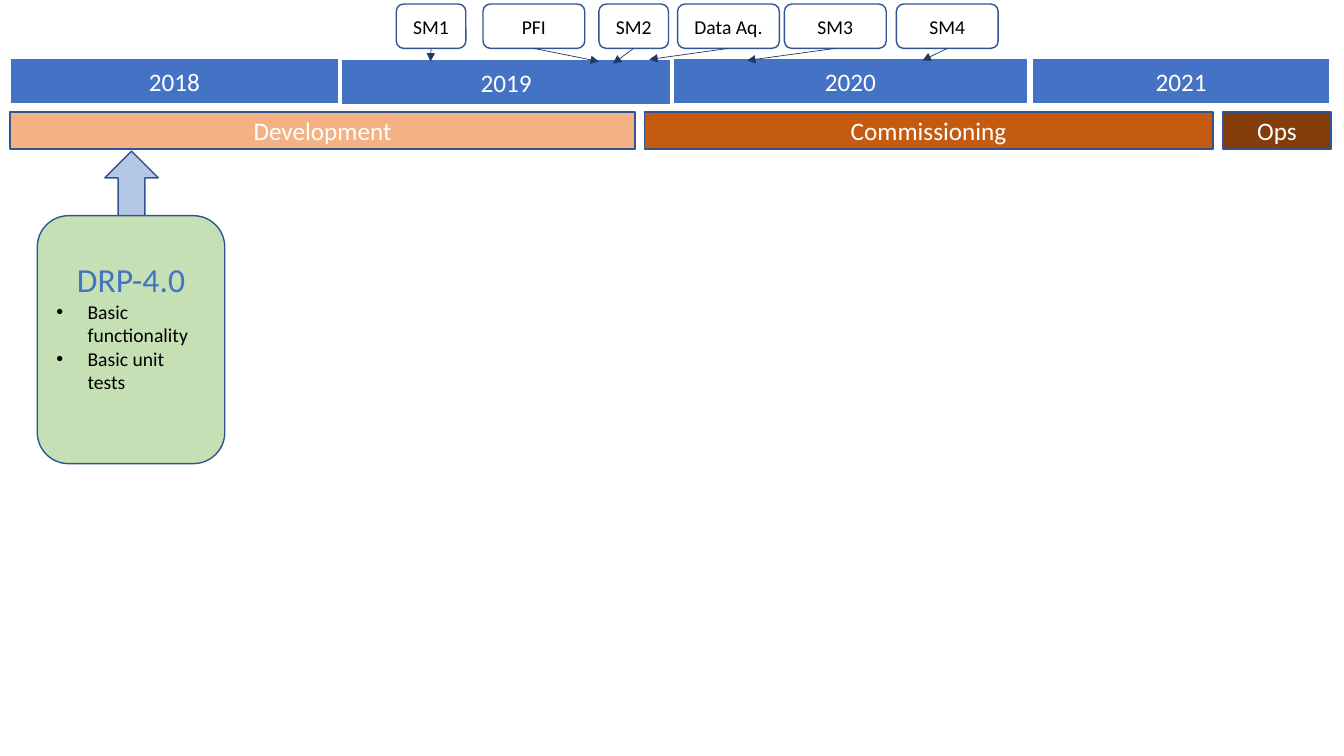
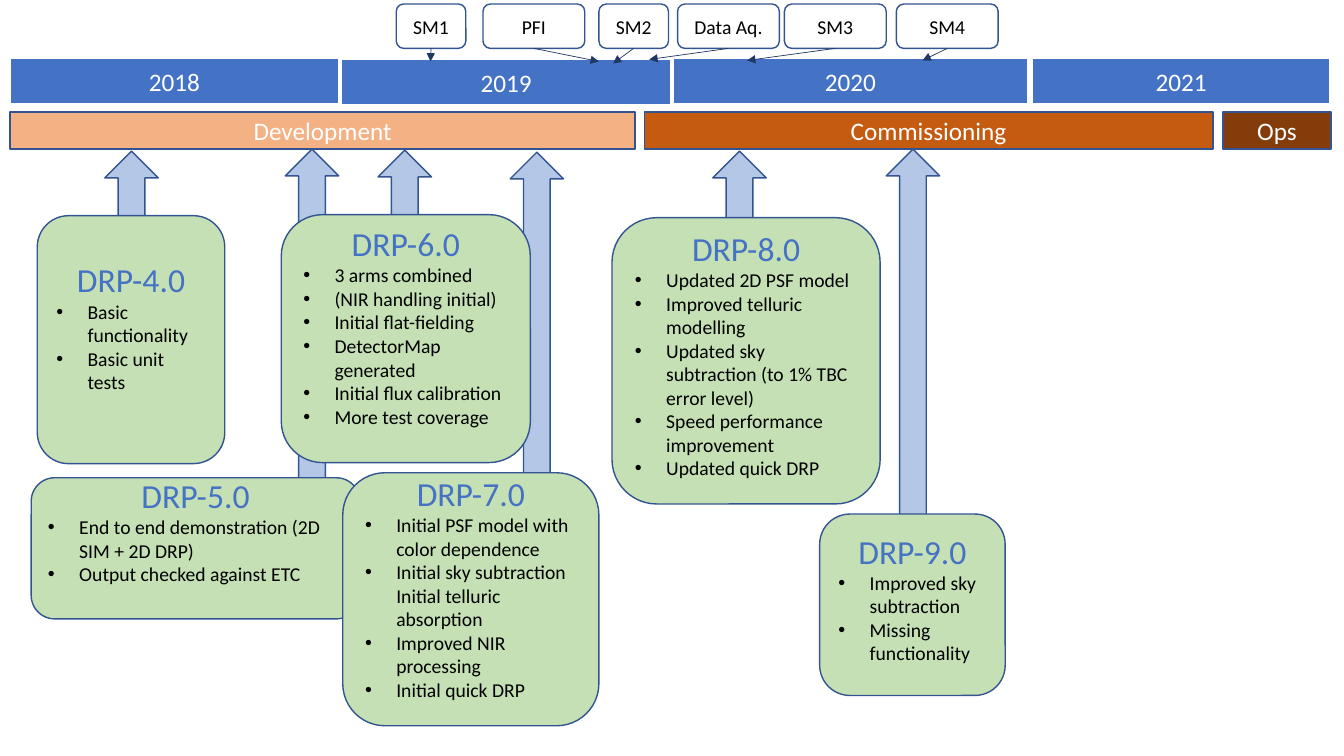
from dataclasses import dataclass

from lxml import etree
from pptx import Presentation
from pptx.dml.color import RGBColor
from pptx.enum import shapes, text
from pptx.oxml import ns
from pptx.util import Inches, Pt


@dataclass(frozen=True)
class Theme:
    font: str = "Calibri"
    white: str = "FFFFFF"
    black: str = "000000"
    blue: str = "4472C4"
    outline: str = "325491"
    pointer: str = "203864"
    arrow: str = "B4C7E7"
    card: str = "C5E0B4"
    development: str = "F4B183"
    commissioning: str = "C55A11"
    operations: str = "843C0B"
    heading_size: int = 24
    band_size: int = 18
    body_size: int = 14
    line_width: float = 1
    pointer_width: float = 0.5


THEME = Theme()

YEARS = [
    ("2018", (0.1, 0.58, 3.26, 0.45)),
    ("2019", (3.39, 0.59, 3.26, 0.45)),
    ("2020", (6.68, 0.58, 3.51, 0.45)),
    ("2021", (10.24, 0.58, 2.95, 0.45)),
]
PHASES = [
    ("Development", (0.1, 1.11, 6.2, 0.37), THEME.development),
    ("Commissioning", (6.39, 1.11, 5.64, 0.37), THEME.commissioning),
    ("Ops", (12.13, 1.11, 1.07, 0.37), THEME.operations),
]
MILESTONES = [
    ("SM1", 3.93, 0.69, (4.27, 0.61)),
    ("PFI", 4.79, 1.01, (5.94, 0.61)),
    ("SM2", 5.94, 0.69, (6.08, 0.63)),
    ("Data Aq.", 6.72, 1.01, (6.44, 0.59)),
    ("SM3", 7.78, 1.01, (7.41, 0.6)),
    ("SM4", 8.89, 1.01, (9.15, 0.6)),
]
MILESTONE_TOP, MILESTONE_HEIGHT = 0.04, 0.44
ARROW_WIDTH = 0.53
BULLET_INDENT = 0.31

RELEASES = {
    "DRP-5.0": dict(
        box=(0.31, 4.74, 3.26, 1.4), arrow=(2.83, 1.48, 3.36), lift=0.18,
        features=["End to end demonstration (2D SIM + 2D DRP)",
                  "Output checked against ETC"]),
    "DRP-4.0": dict(
        box=(0.37, 2.14, 1.86, 2.46), arrow=(1.04, 1.5, 1.07), lift=0.13,
        features=["Basic functionality", "Basic unit tests"]),
    "DRP-8.0": dict(
        box=(6.07, 2.16, 2.66, 2.84), arrow=(7.07, 1.5, 1.07), lift=0.07,
        features=["Updated 2D PSF model", "Improved telluric modelling",
                  "Updated sky subtraction (to 1% TBC error level)",
                  "Speed performance improvement", "Updated quick DRP"]),
    "DRP-9.0": dict(
        box=(8.13, 5.1, 1.84, 1.8), arrow=(8.79, 1.48, 3.9), lift=0.07,
        features=["Improved sky subtraction", "Missing functionality"]),
    "DRP-7.0": dict(
        box=(3.4, 4.69, 2.54, 2.51), arrow=(5.06, 1.51, 3.23), lift=0.12,
        features=["Initial PSF model with color dependence",
                  "Initial sky subtraction Initial telluric absorption",
                  "Improved NIR processing", "Initial quick DRP"]),
    "DRP-6.0": dict(
        box=(2.79, 2.13, 2.47, 2.46), arrow=(3.75, 1.49, 1.07), lift=0.13,
        features=["3 arms combined", "(NIR handling initial)",
                  "Initial flat-fielding", "DetectorMap generated",
                  "Initial flux calibration", "More test coverage"]),
}
SLIDES = [["DRP-4.0"], list(RELEASES)]


def apply(target, formats):
    for name, value in formats.items():
        setattr(target, name, value)


def add_block(parent, preset, box, fill=None, line=THEME.outline):
    block = parent.add_shape(preset, *map(Inches, box))
    block.shadow.inherit = False
    if fill:
        block.fill.solid()
        block.fill.fore_color.rgb = RGBColor.from_string(fill)
    else:
        block.fill.background()
    block.line.color.rgb = RGBColor.from_string(line)
    block.line.width = Pt(THEME.line_width)
    apply(block.text_frame, dict(
        word_wrap=True, vertical_anchor=text.MSO_ANCHOR.MIDDLE))
    return block


def write(paragraph, words, size, color, align=text.PP_ALIGN.CENTER):
    paragraph.alignment = align
    run = paragraph.add_run()
    run.text = words
    apply(run.font, dict(name=THEME.font, size=Pt(size)))
    run.font.color.rgb = RGBColor.from_string(color)


def add_bullet(paragraph):
    props = paragraph._p.get_or_add_pPr()
    indent = Inches(BULLET_INDENT)
    props.set("marL", str(indent))
    props.set("indent", str(-indent))
    etree.SubElement(props, ns.qn("a:buFont"), typeface="Arial")
    etree.SubElement(props, ns.qn("a:buChar"), char="•")


def add_band(slide, label, box, fill, line):
    band = add_block(slide.shapes, shapes.MSO_SHAPE.RECTANGLE, box, fill, line)
    write(band.text_frame.paragraphs[0], label, THEME.band_size, THEME.white)


def add_milestone(slide, label, left, width, target):
    members = slide.shapes.add_group_shape().shapes
    box = (left, MILESTONE_TOP, width, MILESTONE_HEIGHT)
    milestone = add_block(members, shapes.MSO_SHAPE.ROUNDED_RECTANGLE, box)
    write(milestone.text_frame.paragraphs[0], label, THEME.body_size, THEME.black)
    start = (left + width / 2, MILESTONE_TOP + MILESTONE_HEIGHT)
    pointer = members.add_connector(
        shapes.MSO_CONNECTOR.STRAIGHT, *map(Inches, start + target))
    pointer.line.color.rgb = RGBColor.from_string(THEME.pointer)
    pointer.line.width = Pt(THEME.pointer_width)
    etree.SubElement(pointer.line._get_or_add_ln(), ns.qn("a:tailEnd"), type="triangle")
    etree.SubElement(pointer._element.spPr, ns.qn("a:effectLst"))


def add_release(slide, name, box, arrow, lift, features):
    members = slide.shapes.add_group_shape().shapes
    left, top, height = arrow
    add_block(members, shapes.MSO_SHAPE.UP_ARROW,
              (left, top, ARROW_WIDTH, height), THEME.arrow)
    card = add_block(members, shapes.MSO_SHAPE.ROUNDED_RECTANGLE, box, THEME.card)
    frame = card.text_frame
    apply(frame, dict(margin_top=0, margin_bottom=Inches(2 * lift)))
    write(frame.paragraphs[0], name, THEME.heading_size, THEME.blue)
    for feature in features:
        paragraph = frame.add_paragraph()
        write(paragraph, feature, THEME.body_size, THEME.black, text.PP_ALIGN.LEFT)
        add_bullet(paragraph)


def add_timeline(slide):
    for label, box in YEARS:
        add_band(slide, label, box, THEME.blue, THEME.white)
    for label, box, fill in PHASES:
        add_band(slide, label, box, fill, THEME.outline)
    for milestone in MILESTONES:
        add_milestone(slide, *milestone)


deck = Presentation()
apply(deck, dict(slide_width=Inches(13.33), slide_height=Inches(7.5)))
for names in SLIDES:
    slide = deck.slides.add_slide(deck.slide_layouts[6])
    add_timeline(slide)
    for name in names:
        add_release(slide, name, **RELEASES[name])
deck.save("out.pptx")
